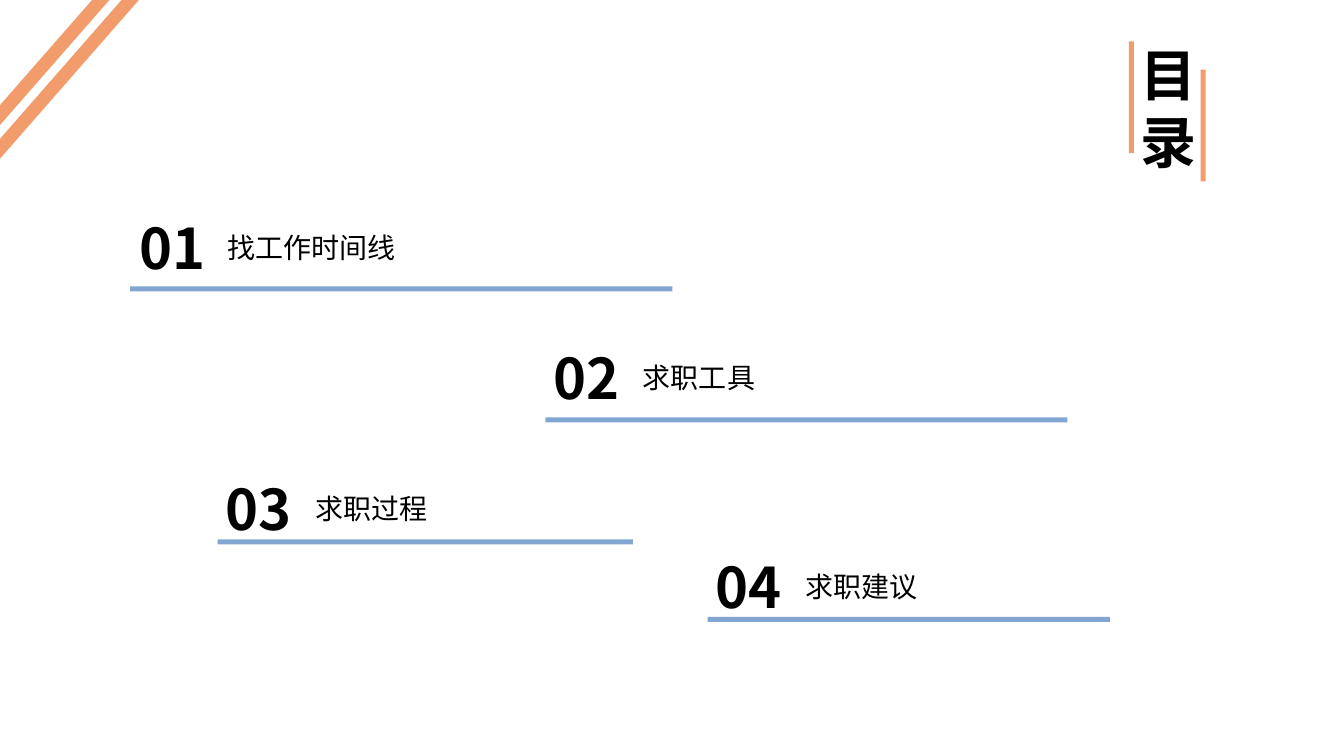
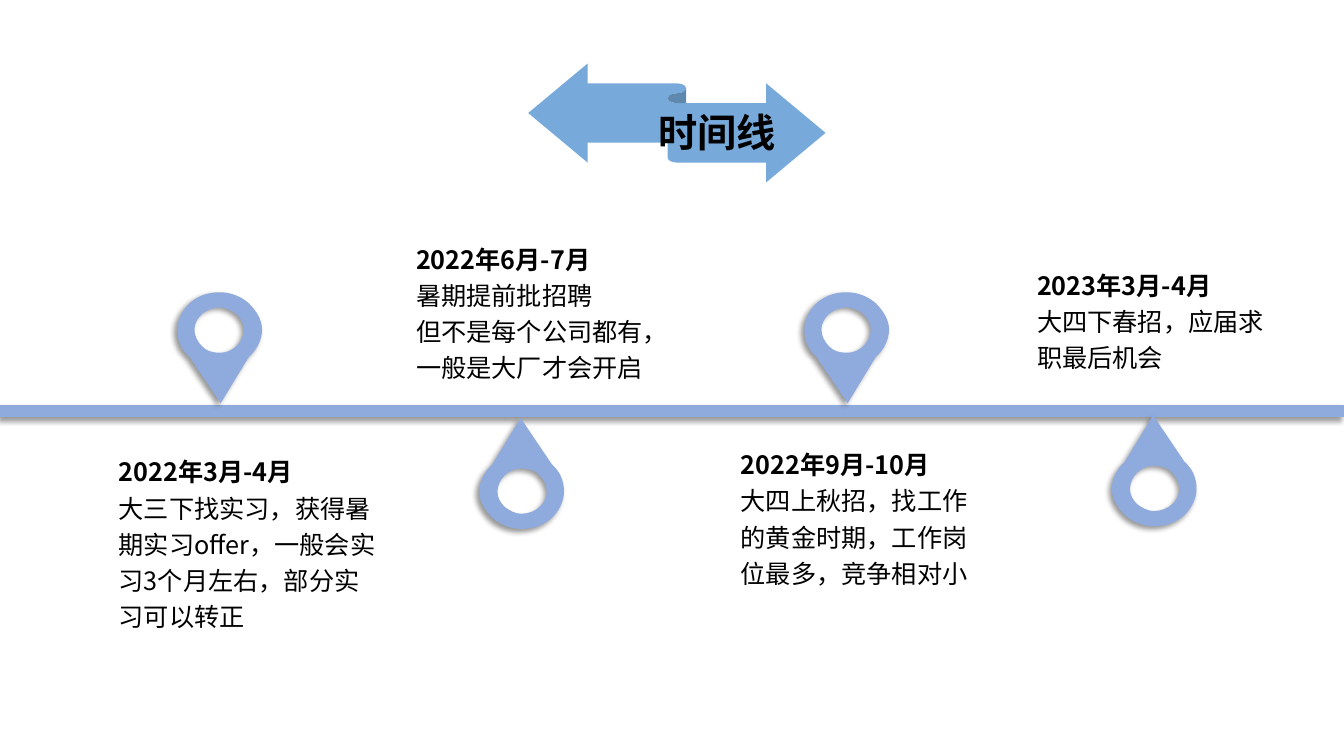
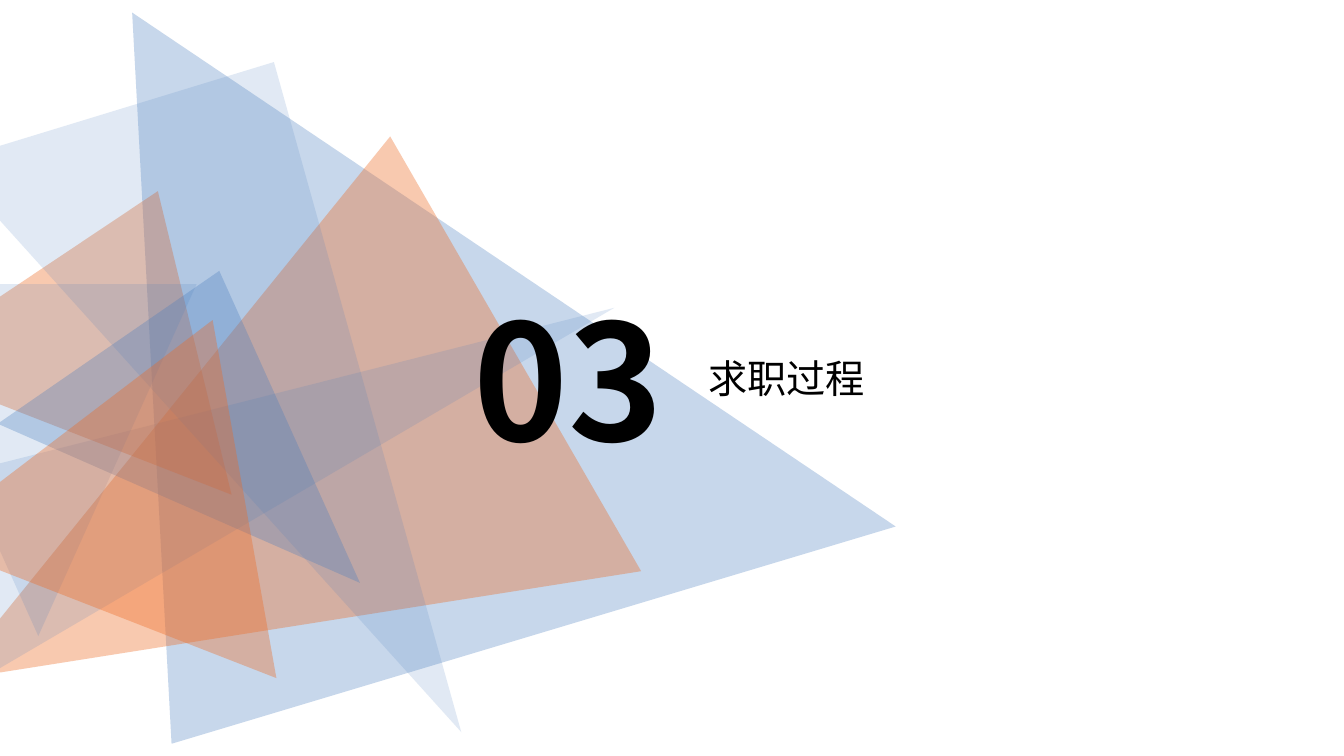
import lxml.etree
import pptx
import pptx.dml.color
import pptx.enum.shapes
import pptx.enum.text
import pptx.oxml.ns
import pptx.util

# Shared look: a grid of 160 columns by 90 rows
CELL = pptx.util.Inches(1) // 12
SLIDE_WIDTH, SLIDE_HEIGHT = 160 * CELL, 90 * CELL
FONT = "Noto Sans CJK SC"
BLACK = pptx.dml.color.RGBColor(0x00, 0x00, 0x00)
ORANGE = pptx.dml.color.RGBColor(0xED, 0x6A, 0x23)
BLUE = pptx.dml.color.RGBColor(0x46, 0x7B, 0xBD)
RIBBON_BLUE = pptx.dml.color.RGBColor(0x77, 0xAA, 0xDB)
TRACK_BLUE = pptx.dml.color.RGBColor(0x8F, 0xAA, 0xDC)
SHAPES = pptx.enum.shapes.MSO_SHAPE
qn = pptx.oxml.ns.qn


def add_text(slide, text, at, size=18, bold_lines=0, wrap=False, spacing=1.0, first_spacing=None):
    """Write text at (left, top, width, height) in cells."""
    frame = slide.shapes.add_textbox(*[int(n * CELL) for n in at]).text_frame
    frame.word_wrap = wrap
    frame.auto_size = pptx.enum.text.MSO_AUTO_SIZE.SHAPE_TO_FIT_TEXT
    for row, line in enumerate(text.split("\n")):
        paragraph = frame.add_paragraph() if row else frame.paragraphs[0]
        paragraph.line_spacing = spacing if row else first_spacing or spacing
        run = paragraph.add_run()
        run.text = line
        run.font.size = pptx.util.Pt(size)
        run.font.bold = row < bold_lines
        run.font.color.rgb = BLACK
        run.font.name = FONT
        lxml.etree.SubElement(run.font._element, qn("a:ea"), typeface=FONT)


def paint(item, color, alpha=100, line_width=0, shadow=False):
    """Colour a shape, or a line when line_width is given."""
    if line_width:
        item.line.color.rgb = color
        item.line.width = pptx.util.Pt(line_width)
    else:
        item.fill.solid()
        item.fill.fore_color.rgb = color
        item.line.fill.background()
    properties = item._element.spPr
    if alpha < 100:
        tint = properties.find(qn("a:solidFill"))[0]
        lxml.etree.SubElement(tint, qn("a:alpha"), val=str(alpha * 1000))
    effects = lxml.etree.SubElement(properties, qn("a:effectLst"))
    if shadow:
        cast = lxml.etree.SubElement(
            effects, qn("a:outerShdw"), blurRad=str(pptx.util.Pt(4)),
            dist=str(pptx.util.Pt(3)), dir=str(135 * 60000), algn="tr", rotWithShape="0")
        black = lxml.etree.SubElement(cast, qn("a:srgbClr"), val=str(BLACK))
        lxml.etree.SubElement(black, qn("a:alpha"), val="40000")


deck = pptx.Presentation()
deck.slide_width, deck.slide_height = SLIDE_WIDTH, SLIDE_HEIGHT
contents, timeline, section = [deck.slides.add_slide(deck.slide_layouts[6]) for _ in range(3)]

# Contents: corner stripes, bars beside the title, rules under the entries
entries = [
    # label, number left, label left, top, rule (left, top, width)
    ("找工作时间线", 15.48, 25.92, 24.84, (15.48, 34.08, 64.56)),
    ("求职工具", 64.68, 75.36, 40.32, (64.92, 49.68, 62.16)),
    ("求职过程", 25.68, 36.36, 55.88, (25.92, 64.2, 49.44)),
    ("求职建议", 84, 94.68, 65.18, (84.24, 73.44, 47.88)),
]
bars = [
    ((-6.24, 8.16, 27.84, 1.56), 311.2, ORANGE),
    ((-8.28, 6.48, 27.84, 1.56), 311.2, ORANGE),
    ((128.04, 11.28, 13.32, 0.6), 90, ORANGE),
    ((136.56, 14.64, 13.32, 0.6), 90, ORANGE),
]
bars += [((*rule, 0.6), 0, BLUE) for *_, rule in entries]
for at, angle, color in bars:
    bar = contents.shapes.add_shape(SHAPES.RECTANGLE, *[int(n * CELL) for n in at])
    bar.rotation = angle
    paint(bar, color, alpha=67)

add_text(contents, "目录", (134.64, 4.2, 7.92, 17.4), size=40, bold_lines=1, wrap=True)
for number, (label, number_left, label_left, top, _) in enumerate(entries, 1):
    add_text(contents, f"{number:02}", (number_left, top, 10.68, 9.24), size=40, bold_lines=1)
    add_text(contents, label, (label_left, top + 2, 3.36 * len(label) + 2.28, 5.28), size=20)

# Timeline: ribbon title and track
ribbon = timeline.shapes.add_shape(
    SHAPES.LEFT_RIGHT_RIBBON, *[int(n * CELL) for n in (62.88, 7.56, 35.4, 14.16)])
paint(ribbon, RIBBON_BLUE)
add_text(timeline, "时间线", (77.16, 12.36, 16.44, 6.84), size=28, bold_lines=1)
track_top = int(48.96 * CELL)
track = timeline.shapes.add_connector(
    pptx.enum.shapes.MSO_CONNECTOR.STRAIGHT, 0, track_top, SLIDE_WIDTH, track_top)
paint(track, TRACK_BLUE, line_width=8.5, shadow=True)

# Pin outline in hundredths of an inch: a start, then three points per curve
head = [
    (42, 0),
    (53, 0), (63, 4), (71, 11), (78, 18), (84, 27), (84, 37),
    (84, 48), (78, 58), (71, 64), (43, 110), (43, 110), (43, 110),
    (43, 110), (20, 76), (12, 64), (4, 57), (0, 48), (0, 37),
    (0, 27), (5, 18), (12, 11), (20, 4), (29, 0), (42, 0),
]
hole = [
    (59, 22),
    (54, 18), (48, 15), (42, 15), (35, 15), (28, 18), (24, 22),
    (20, 26), (17, 31), (17, 37), (17, 43), (20, 49), (24, 53),
    (28, 58), (35, 60), (42, 60), (48, 60), (54, 58), (59, 53),
    (63, 49), (66, 43), (66, 37), (66, 31), (63, 26), (59, 22),
]
stages = [
    # pin left, pin top, pin rotation, text box, first line spacing, text
    (21.12, 34.8, 0, (12.96, 53.04, 33, 23.04), 1.2,
     "2022年3月-4月\n大三下找实习，获得暑期实习offer，一般会实习3个月左右，部分实习可以转正"),
    (57.06, 49.76, 180, (48.36, 28.08, 32.52, 18.24), 1.1,
     "2022年6月-7月\n暑期提前批招聘\n但不是每个公司都有，一般是大厂才会开启"),
    (95.76, 34.8, 0, (87, 52.2, 31.56, 18.6), 1.2,
     "2022年9月-10月\n大四上秋招，找工作的黄金时期，工作岗位最多，竞争相对小"),
    (132.36, 49.44, 180, (122.28, 30.84, 32.16, 14.28), 1.2,
     "2023年3月-4月\n大四下春招，应届求职最后机会"),
]
for left, top, angle, text_at, first_spacing, text in stages:
    outline = timeline.shapes.build_freeform(*head[0], scale=pptx.util.Inches(1) / 100)
    outline.add_line_segments(head[1:])
    outline.move_to(*hole[0])
    outline.add_line_segments(hole[1:])
    pin = outline.convert_to_shape(int(left * CELL), int(top * CELL))
    # Join every three straight steps into one curve
    steps = list(pin._element.iter(qn("a:lnTo")))
    for first in range(0, len(steps), 3):
        curve = lxml.etree.Element(qn("a:cubicBezTo"))
        steps[first].addprevious(curve)
        for step in steps[first:first + 3]:
            curve.append(step[0])
            step.getparent().remove(step)
    pin.rotation = angle
    paint(pin, TRACK_BLUE, shadow=True)
    add_text(timeline, text, text_at, bold_lines=1, wrap=True,
             spacing=1.2, first_spacing=first_spacing)

# Section: overlapping translucent triangles
triangles = [
    # box, rotation, apex share, colour, opacity
    ((6.36, -7.32, 90, 84.72), 343.3, 0.228, BLUE, 30),
    ((-2.16, 22.68, 59.76, 77.76), 240, 0.5, ORANGE, 36),
    ((21.84, 10.32, 24.12, 84.84), 67.7, 0.5, BLUE, 16),
    ((-8.04, 21.72, 42.6, 30.48), 21.3, 0.5, ORANGE, 36),
    ((8.28, 37.8, 32.04, 40.08), 145.4, 0.228, BLUE, 30),
    ((4.92, 11.52, 40.68, 82.8), 163, 0.049, BLUE, 16),
    ((-14.28, 33.84, 37.68, 41.88), 180, 0.5, BLUE, 16),
    ((-3.96, 36.84, 45.12, 36.96), 21.3, 0.5, ORANGE, 36),
]
for at, angle, apex, color, opacity in triangles:
    triangle = section.shapes.add_shape(
        SHAPES.ISOSCELES_TRIANGLE, *[int(n * CELL) for n in at])
    triangle.adjustments[0] = apex
    triangle.rotation = angle
    paint(triangle, color, alpha=opacity)

add_text(section, "03", (55.2, 32.76, 26.28, 24.48), size=115, bold_lines=1)
add_text(section, "求职过程", (83.16, 41.64, 21.12, 6.84), size=28)

deck.save("out.pptx")
